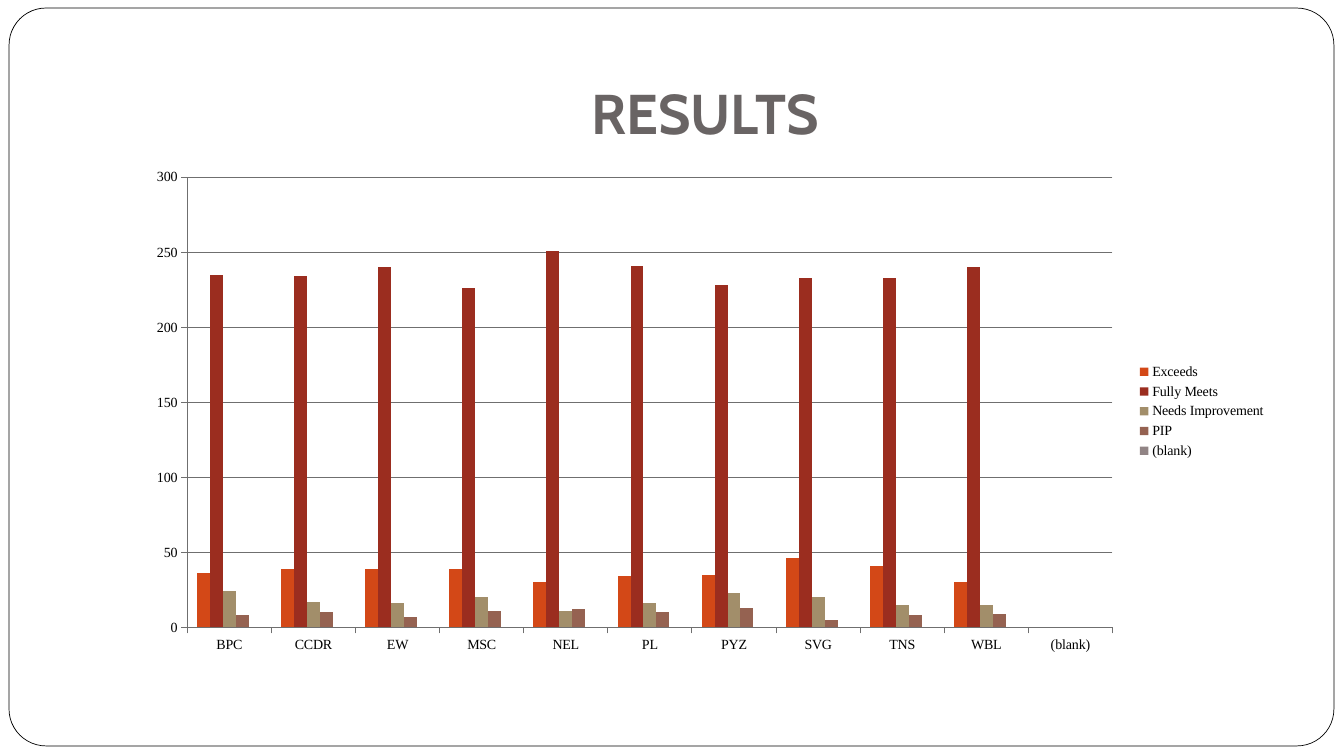
"""Builds the results slide: a framed page with a clustered column chart."""
from pptx import Presentation
from pptx import util as u
from pptx.chart import data as chart_data
from pptx.dml import color
from pptx.enum import chart as chart_enum, shapes, text

EMU_PER_PX = 9144
TITLE_FONT = "Cabin"
CHART_FONT = "Times New Roman"
CATEGORIES = ["BPC", "CCDR", "EW", "MSC", "NEL", "PL", "PYZ", "SVG", "TNS", "WBL", "(blank)"]
RATINGS = [
    ("Exceeds", "D34817", [36, 39, 39, 39, 30, 34, 35, 46, 41, 30, None]),
    ("Fully Meets", "9B2D1F", [235, 234, 240, 226, 251, 241, 228, 233, 233, 240, None]),
    ("Needs Improvement", "A28E6A", [24, 17, 16, 20, 11, 16, 23, 20, 15, 15, None]),
    ("PIP", "956251", [8, 10, 7, 11, 12, 10, 13, 5, 8, 9, None]),
    ("(blank)", "918485", [None] * len(CATEGORIES)),
]


def px(length):
    """Turn whole pixels into EMU."""
    return u.Emu(length * EMU_PER_PX)


def rgb(code):
    """Turn a hex string into a colour."""
    return color.RGBColor.from_string(code)


def style_line(line, code, width):
    """Set the colour and the width in points of a line."""
    line.color.rgb = rgb(code)
    line.width = u.Pt(width)


def add_title(page, words, left, top, width, height):
    """Place and format the title placeholder."""
    box = page.shapes.title
    box.left, box.top, box.width, box.height = map(px, (left, top, width, height))
    frame = box.text_frame
    frame.word_wrap = True
    frame.vertical_anchor = text.MSO_ANCHOR.BOTTOM
    frame.margin_left = frame.margin_right = frame.margin_bottom = px(10)
    frame.margin_top = px(5)
    para = frame.paragraphs[0]
    para.alignment = text.PP_ALIGN.CENTER
    span = para.add_run()
    span.text = words
    span.font.name = TITLE_FONT
    span.font.size = u.Pt(40)
    span.font.bold = True
    span.font.color.rgb = rgb("696464")


def add_border(page, left, top, width, height):
    """Draw the rounded page border behind the title."""
    border = page.shapes.add_shape(
        shapes.MSO_SHAPE.ROUNDED_RECTANGLE, *map(px, (left, top, width, height)))
    border.adjustments[0] = 0.05
    border.shadow.inherit = False
    border.fill.solid()
    border.fill.fore_color.rgb = rgb("FFFFFF")
    style_line(border.line, "000000", 0.5)
    page.shapes.title.element.addprevious(border.element)


def style_axis(axis):
    """Give an axis outside ticks and a thin grey line."""
    axis.major_tick_mark = chart_enum.XL_TICK_MARK.OUTSIDE
    axis.minor_tick_mark = chart_enum.XL_TICK_MARK.NONE
    style_line(axis.format.line, "6F6F6F", 0.75)


def add_ratings_chart(page, left, top, width, height):
    """Add the column chart of ratings with its legend."""
    table = chart_data.CategoryChartData()
    table.categories = CATEGORIES
    for name, _, counts in RATINGS:
        table.add_series(name, counts)
    chart = page.shapes.add_chart(
        chart_enum.XL_CHART_TYPE.COLUMN_CLUSTERED,
        *map(px, (left, top, width, height)), table).chart
    chart.has_title = False
    chart.font.name = CHART_FONT
    chart.font.size = u.Pt(10)
    chart.font.color.rgb = rgb("000000")
    chart.has_legend = True
    chart.legend.position = chart_enum.XL_LEGEND_POSITION.RIGHT
    chart.legend.include_in_layout = False
    style_axis(chart.category_axis)
    style_axis(chart.value_axis)
    chart.value_axis.minimum_scale = 0
    chart.value_axis.maximum_scale = 300
    chart.value_axis.major_unit = 50
    chart.value_axis.has_major_gridlines = True
    style_line(chart.value_axis.major_gridlines.format.line, "6F6F6F", 0.75)
    plot = chart.plots[0]
    plot.gap_width = 150
    plot.overlap = 0
    plot.vary_by_categories = False
    for series, (_, code, _) in zip(plot.series, RATINGS):
        series.format.fill.solid()
        series.format.fill.fore_color.rgb = rgb(code)


def main():
    """Build and save the deck."""
    deck = Presentation()
    deck.slide_width, deck.slide_height = px(1333), px(750)
    page = deck.slides.add_slide(deck.slide_layouts.get_by_name("Title Only"))
    add_border(page, 9, 8, 1314, 732)
    add_title(page, "RESULTS", 133, 30, 1133, 125)
    add_ratings_chart(page, 133, 158, 1133, 500)
    deck.save("out.pptx")


if __name__ == "__main__":
    main()
